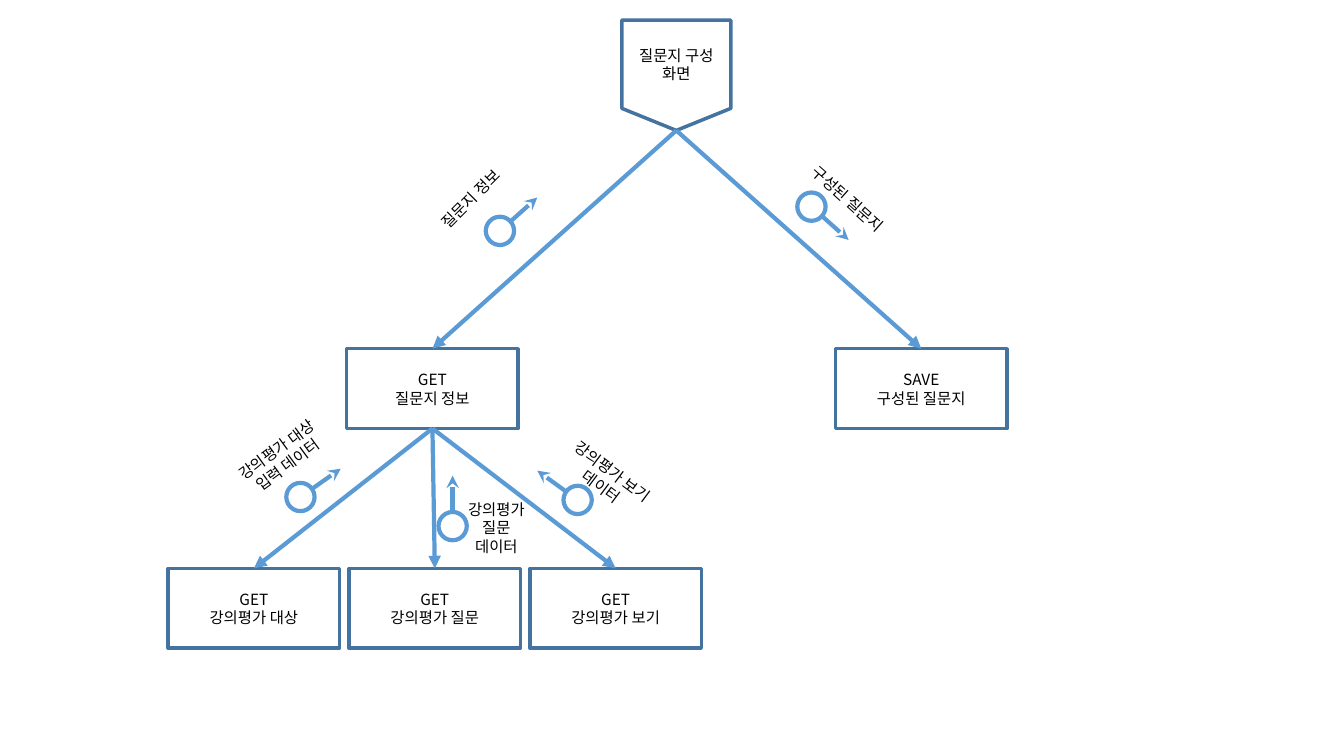
import math
import pptx
import pptx.util
import pptx.dml.color
import pptx.enum.shapes
import pptx.enum.text
import pptx.oxml
import pptx.oxml.ns

Pt = pptx.util.Pt
SHAPES = pptx.enum.shapes.MSO_SHAPE
COLORS = {"box": "43739E", "arrow": "5B9BD5", "text": "000000"}
FONT = "Noto Sans CJK KR"
BOX_WIDTH, BOX_HEIGHT = 122.4, 57
LEVEL_TOP = {"middle": 249.1, "bottom": 406}
CHILD_LEFT, CHILD_STEP = 120.2, 129.2
CIRCLE = 20.2

SCREEN = ("질문지 구성 화면", 444.2, 14.4, 77.8, 78.8)
MODULES = [
    ("GET\n질문지 정보", 247.7),
    ("SAVE\n구성된 질문지", 596.9),
]
CHILDREN = ["GET\n강의평가 대상", "GET\n강의평가 질문", "GET\n강의평가 보기"]
COUPLES = [
    ((579.6, 147.6), (606.2, 171.4)),
    ((357.1, 164.9), (383.8, 141.1)),
    ((214.6, 355), (243.4, 334.8)),
    ((323.3, 375.8), (323.3, 339.8)),
    ((412.6, 357.1), (383.8, 336.2)),
]
LABELS = [
    ("구성된 질문지", 563, 131.8, 85, 20.9, 41.7, False),
    ("질문지 정보", 299.5, 131.8, 74.2, 20.9, 315, False),
    ("강의평가 대상\n입력 데이터", 159.1, 309.6, 85, 33.8, 323.8, False),
    ("강의평가 보기\n데이터", 391, 325.4, 85, 33.8, 36.9, False),
    ("강의평가 질문\n데이터", 324.7, 353.5, 59.8, 47.5, 0, True),
]


def color(name):
    return pptx.dml.color.RGBColor.from_string(COLORS[name])


def add_element(parent, tag, **attributes):
    element = pptx.oxml.parse_xml(f"<a:{tag} {pptx.oxml.ns.nsdecls('a')}/>")
    for key, value in attributes.items():
        element.set(key, value)
    parent.append(element)


def write(shape, text):
    shape.text_frame.text = text
    for paragraph in shape.text_frame.paragraphs:
        paragraph.alignment = pptx.enum.text.PP_ALIGN.CENTER
        font = paragraph.font
        font.size = Pt(11)
        font.color.rgb = color("text")
        font.name = FONT
        add_element(font._element, "ea", typeface=FONT)


def add_outline(kind, left, top, width, height, line_color, weight):
    shape = slide.shapes.add_shape(kind, Pt(left), Pt(top), Pt(width), Pt(height))
    shape.shadow.inherit = False
    shape.fill.background()
    shape.line.color.rgb = color(line_color)
    shape.line.width = Pt(weight)
    return shape


def add_box(kind, text, left, top, width=BOX_WIDTH, height=BOX_HEIGHT):
    shape = add_outline(kind, left, top, width, height, "box", 2.5)
    shape.text_frame.vertical_anchor = pptx.enum.text.MSO_ANCHOR.MIDDLE
    shape.text_frame.word_wrap = True
    write(shape, text)
    return shape


def add_arrow(start, end, head):
    connector = slide.shapes.add_connector(
        pptx.enum.shapes.MSO_CONNECTOR.STRAIGHT, *map(Pt, start + end))
    connector.line.color.rgb = color("arrow")
    connector.line.width = Pt(3)
    add_element(connector.line._get_or_add_ln(), "tailEnd", type=head)
    add_element(connector._element.spPr, "effectLst")
    return connector


def link(parent, child):
    connector = add_arrow((0, 0), (0, 0), "triangle")
    connector.begin_connect(parent, 2)
    connector.end_connect(child, 0)


def add_couple(center, tip):
    x, y = center
    radius = CIRCLE / 2
    add_outline(SHAPES.OVAL, x - radius, y - radius, CIRCLE, CIRCLE, "arrow", 3)
    share = radius / math.dist(center, tip)
    edge = (x + (tip[0] - x) * share, y + (tip[1] - y) * share)
    add_arrow(edge, tip, "stealth")


def add_label(text, left, top, width, height, rotation, wrap):
    label = slide.shapes.add_textbox(Pt(left), Pt(top), Pt(width), Pt(height))
    label.rotation = rotation
    label.text_frame.word_wrap = wrap
    label.text_frame.auto_size = pptx.enum.text.MSO_AUTO_SIZE.SHAPE_TO_FIT_TEXT
    write(label, text)


presentation = pptx.Presentation()
presentation.slide_width, presentation.slide_height = Pt(960), Pt(540)
slide = presentation.slides.add_slide(presentation.slide_layouts[6])

screen = add_box(SHAPES.FLOWCHART_OFFPAGE_CONNECTOR, *SCREEN)
modules = [add_box(SHAPES.RECTANGLE, text, left, LEVEL_TOP["middle"])
           for text, left in MODULES]
children = [add_box(SHAPES.RECTANGLE, text, CHILD_LEFT + index * CHILD_STEP,
                    LEVEL_TOP["bottom"])
            for index, text in enumerate(CHILDREN)]
for module in modules:
    link(screen, module)
for child in children:
    link(modules[0], child)
for couple in COUPLES:
    add_couple(*couple)
for label in LABELS:
    add_label(*label)

presentation.save("out.pptx")
